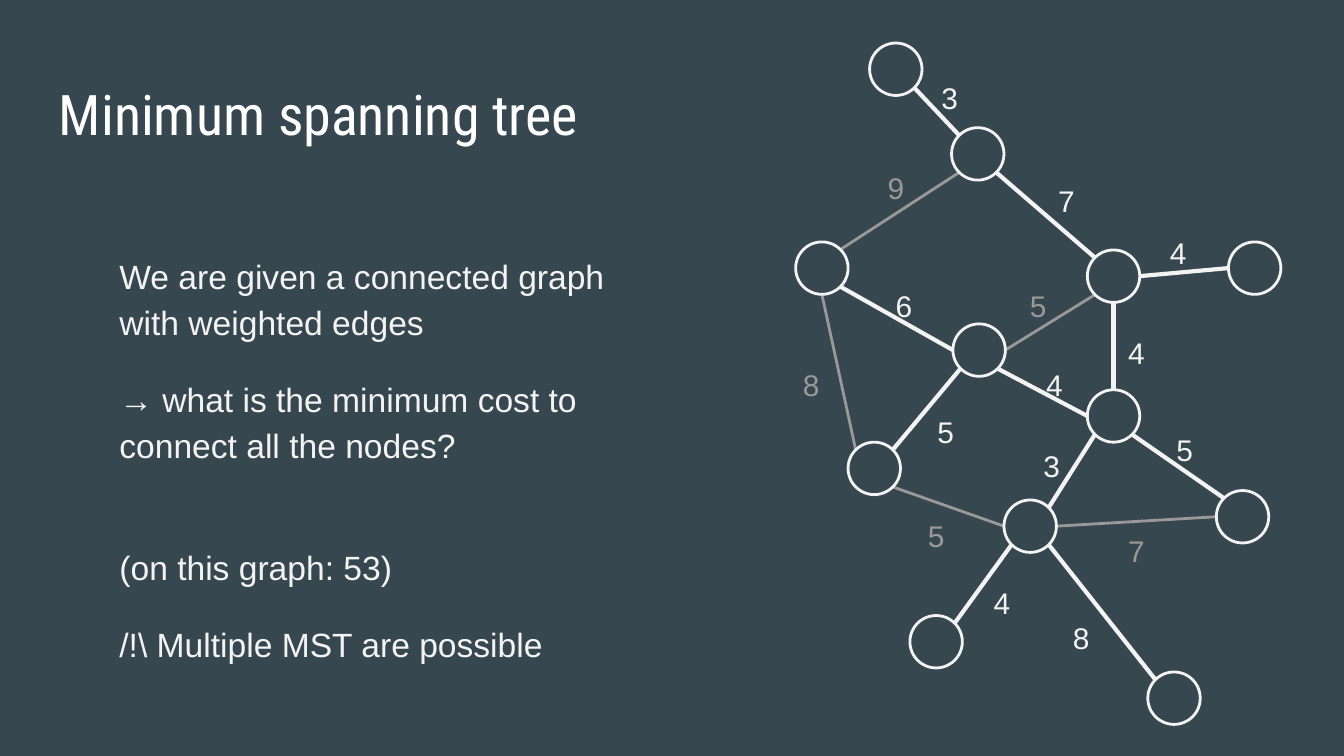
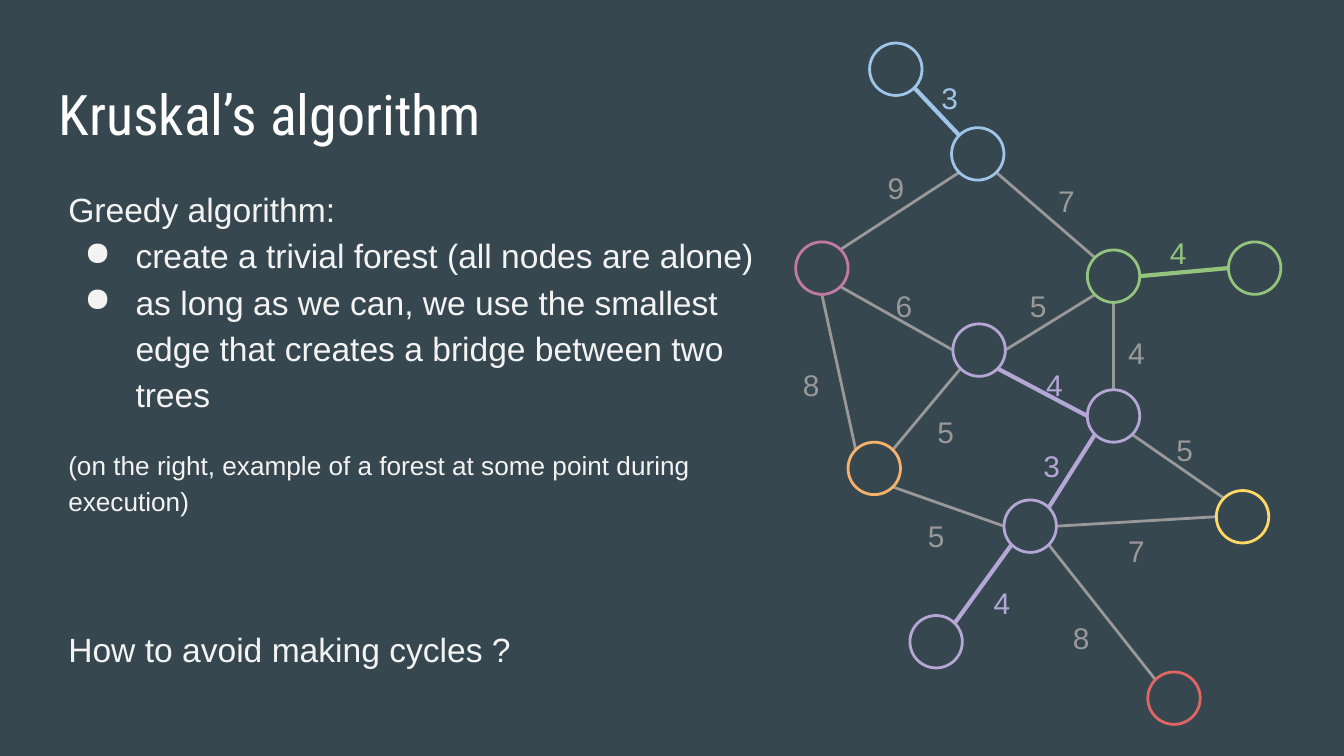
import dataclasses
import math

import lxml.etree
import pptx
import pptx.dml.color
import pptx.enum.shapes
import pptx.enum.text
import pptx.oxml.ns
import pptx.util


@dataclasses.dataclass(frozen=True)
class Theme:
    background: str = "37474F"
    heading: str = "FFFFFF"
    text: str = "F3F3F3"
    muted: str = "999999"
    blue: str = "9FC5E8"
    green: str = "93C47D"
    purple: str = "B4A7D6"
    pink: str = "C27BA0"
    orange: str = "F6B26B"
    yellow: str = "FFD966"
    red: str = "E06666"
    heading_font: str = "Roboto Condensed"
    body_font: str = "Arial"
    heading_size: int = 30
    body_size: int = 18
    weight_size: int = 16
    note_size: int = 14
    thin: float = 1.5
    thick: float = 2.25
    spacing: float = 1.15


THEME = Theme()

# Grid: 100 columns of 0.1 inch, 56.25 rows of the same height
COLUMNS, ROWS = 100, 56.25
CELL = pptx.util.Inches(0.1)
NODE_SIZE = 3.9
WEIGHT_BOX = (4.9, 4.5)
COMPASS = ("E", "SE", "S", "SW", "W", "NW", "N", "NE")

# Space before a paragraph, in points; a gap also skips one body line
STEP, GAP, WIDE_GAP = 16, 40.8, 56.8

# Centre of each node, in columns and rows
NODES = {
    "A": (66.65, 5.15), "B": (72.75, 11.45), "C": (61.15, 19.95),
    "D": (82.85, 20.55), "E": (93.35, 19.95), "F": (72.85, 26.05),
    "G": (65.05, 34.85), "H": (82.85, 30.95), "I": (92.45, 38.45),
    "J": (76.65, 39.15), "K": (69.65, 47.75), "L": (87.35, 51.95),
}

# Start node and side, end node and side, weight, corner of the weight box
EDGES = (
    ("A", "SE", "B", "NW", 3, (68.2, 4.5)),
    ("B", "SW", "C", "NE", 9, (64.2, 11.2)),
    ("B", "SE", "D", "NW", 7, (76.9, 12.2)),
    ("D", "E", "E", "W", 4, (85.2, 16.1)),
    ("C", "SE", "F", "W", 6, (64.8, 20)),
    ("F", "E", "D", "SW", 5, (74.8, 20)),
    ("D", "S", "H", "N", 4, (82.1, 23.5)),
    ("C", "S", "G", "NW", 8, (57.9, 25.9)),
    ("F", "SE", "H", "W", 4, (76, 25.9)),
    ("F", "SW", "G", "NE", 5, (67.9, 29.4)),
    ("H", "SW", "J", "NE", 3, (75.8, 31.9)),
    ("H", "SE", "I", "NW", 5, (85.7, 30.7)),
    ("G", "SE", "J", "W", 5, (67.2, 37.1)),
    ("J", "E", "I", "W", 7, (82.1, 38.2)),
    ("J", "SW", "K", "NE", 4, (72.1, 42.1)),
    ("J", "SE", "L", "NW", 8, (78, 44.7)),
)


def cells(*counts):
    return [round(count * CELL) for count in counts]


def rgb(colour):
    return pptx.dml.color.RGBColor.from_string(colour)


def node_side(node, side):
    """Point where an edge meets the given side of a node."""
    column, row = NODES[node]
    angle = math.radians(45 * COMPASS.index(side))
    radius = NODE_SIZE / 2
    return column + radius * math.cos(angle), row + radius * math.sin(angle)


@dataclasses.dataclass
class Line:
    """One paragraph of body text."""
    words: str
    before: float = 0
    size: int = THEME.body_size
    bullet: bool = False


class Deck:
    def __init__(self, theme):
        self.theme = theme
        self.show = pptx.Presentation()
        self.show.slide_width, self.show.slide_height = cells(COLUMNS, ROWS)
        self.slide = None

    def new_slide(self, heading):
        self.slide = self.show.slides.add_slide(self.show.slide_layouts[6])
        fill = self.slide.background.fill
        fill.solid()
        fill.fore_color.rgb = rgb(self.theme.background)
        paragraph = self.frame(3.4, 4.9, 40.9, 6.3).paragraphs[0]
        self.run(paragraph, heading, self.theme.heading_size,
                 self.theme.heading, self.theme.heading_font)

    def frame(self, left, top, width, height):
        box = self.slide.shapes.add_textbox(*cells(left, top, width, height))
        frame = box.text_frame
        frame.word_wrap = True
        frame.vertical_anchor = pptx.enum.text.MSO_ANCHOR.TOP
        frame.margin_left = frame.margin_right = CELL
        frame.margin_top = frame.margin_bottom = CELL
        return frame

    def run(self, paragraph, words, size, colour, font=None):
        run = paragraph.add_run()
        run.text = words
        run.font.size = pptx.util.Pt(size)
        run.font.name = font or self.theme.body_font
        run.font.color.rgb = rgb(colour)

    def bullet(self, paragraph):
        properties = paragraph._p.get_or_add_pPr()
        properties.set("marL", str(pptx.util.Inches(0.5)))
        properties.set("indent", str(-pptx.util.Inches(0.38)))
        qn = pptx.oxml.ns.qn
        colour = lxml.etree.SubElement(properties, qn("a:buClr"))
        lxml.etree.SubElement(colour, qn("a:srgbClr"), val=self.theme.text)
        lxml.etree.SubElement(properties, qn("a:buChar"), char="●")

    def body(self, left, top, width, height, lines):
        frame = self.frame(left, top, width, height)
        for index, line in enumerate(lines):
            paragraph = frame.add_paragraph() if index else frame.paragraphs[0]
            paragraph.line_spacing = self.theme.spacing
            paragraph.space_before = pptx.util.Pt(line.before)
            if line.bullet:
                self.bullet(paragraph)
            self.run(paragraph, line.words, line.size, self.theme.text)

    def node(self, centre, colour):
        column, row = centre
        circle = self.slide.shapes.add_shape(
            pptx.enum.shapes.MSO_SHAPE.OVAL,
            *cells(column - NODE_SIZE / 2, row - NODE_SIZE / 2,
                   NODE_SIZE, NODE_SIZE))
        circle.shadow.inherit = False
        circle.fill.background()
        circle.line.color.rgb = rgb(colour)
        circle.line.width = pptx.util.Pt(self.theme.thin)

    def edge(self, start, end, colour, width):
        link = self.slide.shapes.add_connector(
            pptx.enum.shapes.MSO_CONNECTOR.STRAIGHT, *cells(*start, *end))
        link.line.color.rgb = rgb(colour)
        link.line.width = pptx.util.Pt(width)
        lxml.etree.SubElement(link._element.spPr,
                              pptx.oxml.ns.qn("a:effectLst"))

    def weight(self, corner, value, colour):
        paragraph = self.frame(*corner, *WEIGHT_BOX).paragraphs[0]
        paragraph.alignment = pptx.enum.text.PP_ALIGN.CENTER
        paragraph.line_spacing = self.theme.spacing
        self.run(paragraph, str(value), self.theme.weight_size, colour)

    def graph(self, trees, unused=()):
        """Colour nodes by tree; edges inside a tree stand out unless unused."""
        colours = {node: colour for members, colour in trees.items()
                   for node in members}
        for start, start_side, end, end_side, value, corner in EDGES:
            chosen = (colours[start] == colours[end]
                      and start + end not in unused)
            colour = colours[start] if chosen else self.theme.muted
            width = self.theme.thick if chosen else self.theme.thin
            self.edge(node_side(start, start_side), node_side(end, end_side),
                      colour, width)
            self.weight(corner, value, colour)
        for node, centre in NODES.items():
            self.node(centre, colours[node])


def main():
    deck = Deck(THEME)

    # Minimum spanning tree: one tree spans every node
    deck.new_slide("Minimum spanning tree")
    deck.body(7.9, 17.6, 43.1, 33, (
        Line("We are given a connected graph with weighted edges"),
        Line("→ what is the minimum cost to connect all the nodes?", STEP),
        Line("(on this graph: 53)", GAP),
        Line("/!\\ Multiple MST are possible", STEP),
    ))
    deck.graph({"ABCDEFGHIJKL": THEME.text},
               unused=("BC", "FD", "CG", "GJ", "JI"))

    # Kruskal: a forest part of the way through
    deck.new_slide("Kruskal’s algorithm")
    deck.body(4.1, 12.6, 55.9, 40.7, (
        Line("Greedy algorithm:"),
        Line("create a trivial forest (all nodes are alone)", bullet=True),
        Line("as long as we can, we use the smallest edge that creates "
             "a bridge between two trees", bullet=True),
        Line("(on the right, example of a forest at some point during "
             "execution)", STEP, THEME.note_size),
        Line("How to avoid making cycles ?", WIDE_GAP),
    ))
    deck.graph({"AB": THEME.blue, "C": THEME.pink, "DE": THEME.green,
                "FHJK": THEME.purple, "G": THEME.orange,
                "I": THEME.yellow, "L": THEME.red})

    deck.show.save("out.pptx")


if __name__ == "__main__":
    main()
